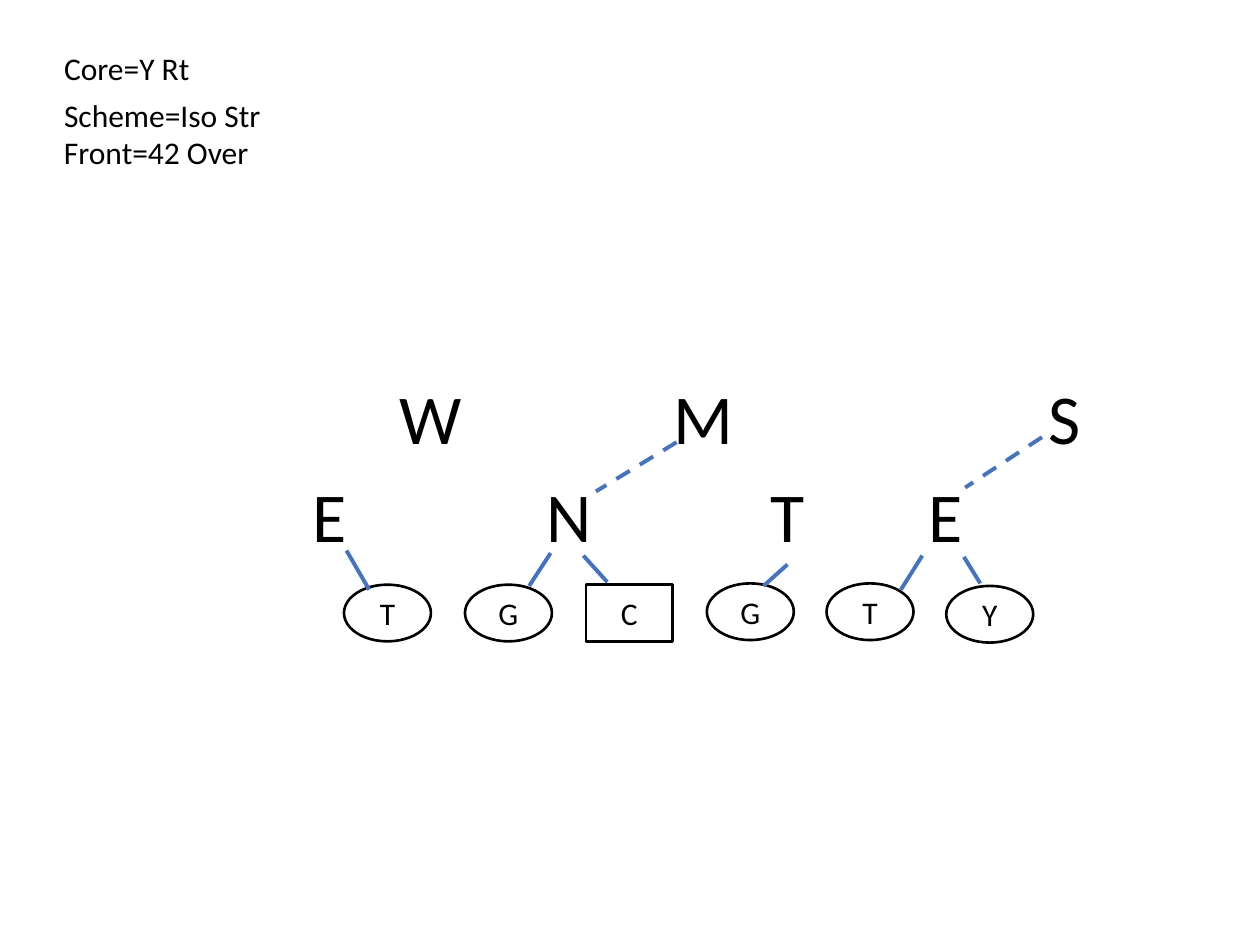
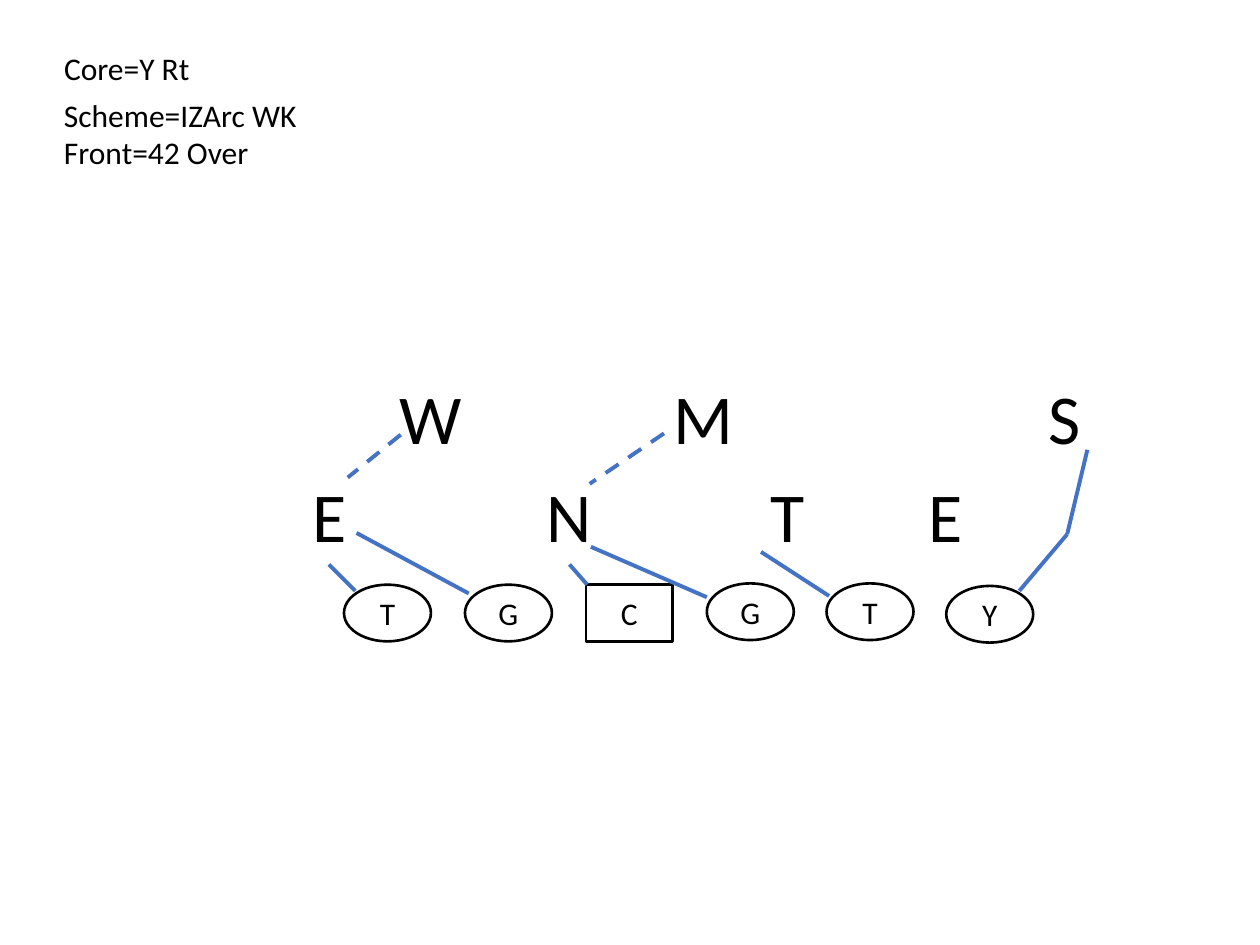
"""Build two football blocking diagrams that share one formation."""
import pptx
import pptx.dml.color
import pptx.enum.dml
import pptx.enum.shapes
import pptx.enum.text
import pptx.oxml.ns
import pptx.util
from lxml import etree

Inches = pptx.util.Inches
Pt = pptx.util.Pt
RGBColor = pptx.dml.color.RGBColor
Shape = pptx.enum.shapes.MSO_SHAPE
Align = pptx.enum.text.PP_ALIGN

BLACK = RGBColor(0x00, 0x00, 0x00)
WHITE = RGBColor(0xFF, 0xFF, 0xFF)
BLUE = RGBColor(0x44, 0x72, 0xC4)

LINEMEN = [
    ("T", 2.73, 4.64), ("G", 3.69, 4.64), ("C", 4.65, 4.64),
    ("G", 5.61, 4.63), ("T", 6.56, 4.63), ("Y", 7.51, 4.65),
]
FRONT = [("E", 2.38, 0.48), ("N", 4.24, 0.56), ("T", 6.02, 0.48), ("E", 7.27, 0.48)]
BACKERS = [("W", 3.07, 0.7), ("M", 5.25, 0.7), ("S", 8.22, 0.48)]

PLAYS = [
    {
        "scheme": ("Scheme=Iso Str", 1.78),
        "blocks": [
            (2.75, 4.37, 2.93, 4.68), (4.37, 4.39, 4.2, 4.65),
            (4.63, 4.41, 4.82, 4.62), (6.25, 4.48, 6.06, 4.65),
            (7.32, 4.41, 7.15, 4.68), (7.65, 4.42, 7.78, 4.63),
        ],
        "climbs": [(8.27, 3.47, 7.66, 3.87), (5.37, 3.51, 4.73, 3.9)],
    },
    {
        "scheme": ("Scheme=IZArc WK", 2.07),
        "blocks": [
            (2.61, 4.48, 2.82, 4.69), (2.83, 4.23, 3.72, 4.71),
            (4.52, 4.48, 4.66, 4.64), (4.69, 4.34, 5.61, 4.74),
            (6.04, 4.38, 6.58, 4.73), (8.63, 3.57, 8.47, 4.24),
            (8.47, 4.24, 8.09, 4.69),
        ],
        "climbs": [(3.18, 3.45, 2.76, 3.79), (5.27, 3.44, 4.68, 3.84)],
    },
]


class Board:
    """Hold the style and the current slide."""

    font = "Calibri"
    small = Pt(18)
    large = Pt(40)

    def __init__(self):
        self.deck = pptx.Presentation()
        self.deck.slide_width = Inches(10)
        self.deck.slide_height = Inches(7.5)
        self.slide = None

    def start(self):
        """Open a blank slide."""
        self.slide = self.deck.slides.add_slide(self.deck.slide_layouts[6])
        fill = self.slide.background.fill
        fill.solid()
        fill.fore_color.rgb = WHITE

    def letter(self, frame, text, size, align):
        """Set one styled paragraph in a text frame."""
        frame.text = text
        para = frame.paragraphs[0]
        para.alignment = align
        font = para.runs[0].font
        font.name = self.font
        font.size = size
        font.color.rgb = BLACK

    def label(self, text, left, top, width, height, size):
        """Add a one-line text box."""
        box = self.slide.shapes.add_textbox(
            Inches(left), Inches(top), Inches(width), Inches(height))
        frame = box.text_frame
        frame.word_wrap = False
        frame.auto_size = pptx.enum.text.MSO_AUTO_SIZE.SHAPE_TO_FIT_TEXT
        self.letter(frame, text, size, Align.LEFT)

    def player(self, text, left, top):
        """Add a lineman: a square for the center, an oval for the rest."""
        kind = Shape.RECTANGLE if text == "C" else Shape.OVAL
        mark = self.slide.shapes.add_shape(
            kind, Inches(left), Inches(top), Inches(0.69), Inches(0.45))
        mark.shadow.inherit = False
        mark.fill.solid()
        mark.fill.fore_color.rgb = WHITE
        mark.line.color.rgb = BLACK
        mark.line.width = Pt(1.5)
        mark.text_frame.vertical_anchor = pptx.enum.text.MSO_ANCHOR.MIDDLE
        self.letter(mark.text_frame, text, self.small, Align.CENTER)

    def block(self, ends, dashed=False):
        """Add a blocking line."""
        link = self.slide.shapes.add_connector(
            pptx.enum.shapes.MSO_CONNECTOR.STRAIGHT, *map(Inches, ends))
        link.line.color.rgb = BLUE
        link.line.width = Pt(2.25)
        if dashed:
            link.line.dash_style = pptx.enum.dml.MSO_LINE.DASH
        etree.SubElement(link.element.spPr, pptx.oxml.ns.qn("a:effectLst"))

    def draw(self, play):
        """Draw one play on a new slide."""
        self.start()
        scheme, width = play["scheme"]
        self.label("Core=Y Rt", 0.41, 0.34, 1.21, 0.4, self.small)
        self.label(scheme, 0.41, 0.71, width, 0.4, self.small)
        self.label("Front=42 Over", 0.41, 1.01, 1.74, 0.4, self.small)
        for man in LINEMEN:
            self.player(*man)
        for row, top in ((FRONT, 3.7), (BACKERS, 2.92)):
            for text, left, width in row:
                self.label(text, left, top, width, 0.77, self.large)
        for ends in play["blocks"]:
            self.block(ends)
        for ends in play["climbs"]:
            self.block(ends, dashed=True)


board = Board()
for play in PLAYS:
    board.draw(play)
board.deck.save("out.pptx")
